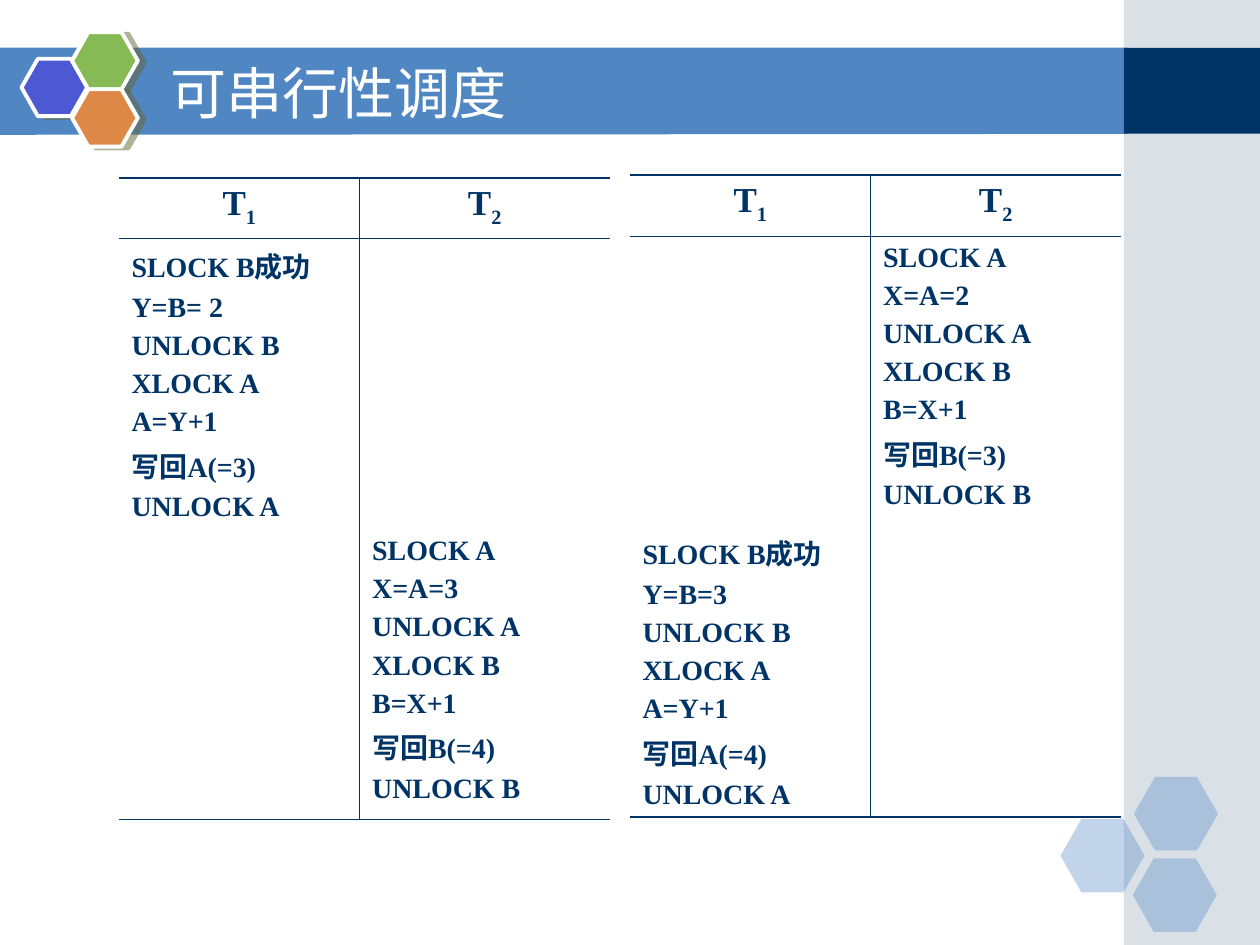
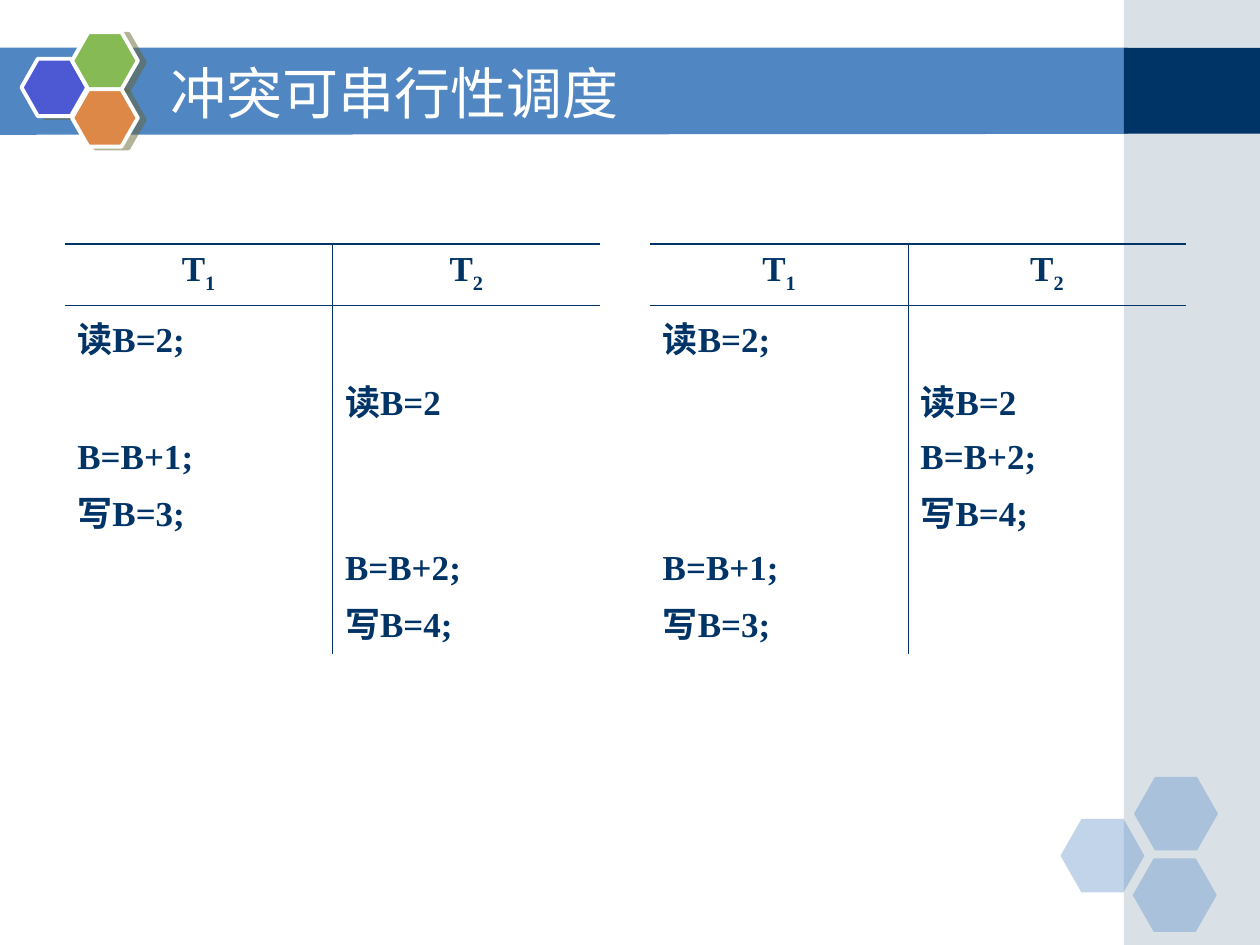
import pptx
import pptx.util
import pptx.dml.color
import pptx.enum.shapes
import pptx.enum.text
import pptx.oxml
import pptx.oxml.ns
import lxml.etree

Pt = pptx.util.Pt
SHAPE = pptx.enum.shapes.MSO_SHAPE
ALIGN = pptx.enum.text.PP_ALIGN
ANCHOR = pptx.enum.text.MSO_ANCHOR
qn = pptx.oxml.ns.qn

COLORS = {
    "band": "5086C2", "navy": "003366", "side": "A0B5C4", "white": "FFFFFF",
    "blue": "4C59D2", "green": "85BA54", "orange": "DE8848", "shadow": "666633",
}
TITLE_FONT, TABLE_FONT = "DejaVu Sans", "Times New Roman"
THICK, THIN = 1.08, 0.45
NO_STYLE = "{2D5ABB26-0587-4C30-8999-92F81FD0307C}"


def update_a(read_b, new_a):
    return ["SLOCK B成功", f"Y=B={read_b}", "UNLOCK B", "XLOCK A", "A=Y+1",
            f"写回A(={new_a})", "UNLOCK A"]


def update_b(read_a, new_b):
    return ["SLOCK A", f"X=A={read_a}", "UNLOCK A", "XLOCK B", "B=X+1",
            f"写回B(={new_b})", "UNLOCK B"]


ADD_ONE = ["B=B+1;", "写B=3;"]
ADD_TWO = ["B=B+2;", "写B=4;"]
FIRST_READS = [(["读B=2;"], []), ([], ["读B=2"])]

# Each schedule lists its steps as (T1, T2) rows below the header.
SLIDES = [
    {"title": "可串行性调度", "size": 16, "gap": 4, "closed": True, "schedules": [
        {"at": (68, 101.6), "columns": (137.5, 143), "heights": (34.8, 165.8, 165.8),
         "steps": [(update_a(" 2", 3), []), ([], update_b(3, 4))]},
        {"at": (360, 100), "columns": (137.5, 143), "heights": (34.8, 165.8, 165.8),
         "steps": [([], update_b(2, 3)), (update_a(3, 4), [])]},
    ]},
    {"title": "冲突可串行性调度", "size": 20, "gap": 5, "closed": False, "schedules": [
        {"at": (37, 139.6), "columns": (153, 153), "heights": (34.8, 31.7, 31.7, 60.5, 60.5),
         "steps": FIRST_READS + [(ADD_ONE, []), ([], ADD_TWO)]},
        {"at": (371.5, 139.6), "columns": (147.3, 159), "heights": (34.8, 34.6, 31.7, 60.5, 60.5),
         "steps": FIRST_READS + [([], ADD_TWO), (ADD_ONE, [])]},
    ]},
]

SIDE_BARS = [(0, 540, "side", 40), (27.4, 49, "navy", 100)]
CORNER_HEXAGONS = [(606, 468), (648, 444), (647.3, 490.5)]
EMBLEM_HEXAGONS = [(12.3, 33.6, "blue"), (41.2, 18.3, "green"), (41.2, 51, "orange")]


def rgb(color):
    return pptx.dml.color.RGBColor.from_string(COLORS[color])


def paint(shape, color, opacity=100):
    shape.shadow.inherit = False
    shape.fill.solid()
    shape.fill.fore_color.rgb = rgb(color)
    if opacity < 100:
        tint = shape.element.spPr.find(qn("a:solidFill"))[0]
        lxml.etree.SubElement(tint, qn("a:alpha"), val=str(opacity * 1000))
    shape.line.fill.background()


def add_preset(slide, kind, box, color, opacity=100):
    shape = slide.shapes.add_shape(kind, *map(Pt, box))
    paint(shape, color, opacity)
    if kind == SHAPE.HEXAGON:
        shape.adjustments[0] = 0.285
    return shape


def cast_shadow(shape):
    effects = shape.element.spPr.find(qn("a:effectLst"))
    shadow = lxml.etree.SubElement(effects, qn("a:outerShdw"), blurRad="0",
                                   dist=str(Pt(4.1)), dir=str(14 * 60000),
                                   algn="ctr", rotWithShape="0")
    tint = lxml.etree.SubElement(shadow, qn("a:srgbClr"), val=COLORS["shadow"])
    lxml.etree.SubElement(tint, qn("a:alpha"), val="50000")


def add_decoration(slide):
    band = slide.shapes.build_freeform(Pt(-0.7), Pt(27.2))
    band.add_line_segments([(Pt(644.4), Pt(27.2)), (Pt(644.4), Pt(76.5)),
                            (Pt(-0.7), Pt(77))], close=True)
    paint(band.convert_to_shape(), "band")
    for top, height, color, opacity in SIDE_BARS:
        add_preset(slide, SHAPE.RECTANGLE, (642.2, top, 77.8, height), color, opacity)
    for left, top in CORNER_HEXAGONS:
        add_preset(slide, SHAPE.HEXAGON, (left, top, 48, 42), "band", 35)
    for left, top, color in EMBLEM_HEXAGONS:
        hexagon = add_preset(slide, SHAPE.HEXAGON, (left, top, 37.6, 32.8), color)
        hexagon.line.color.rgb = rgb("white")
        hexagon.line.width = Pt(2.25)
        cast_shadow(hexagon)


def write(frame, lines, size, font=TABLE_FONT, color="navy", bold=True,
          align=ALIGN.LEFT, gap=0, subscript=""):
    for index, line in enumerate(lines):
        paragraph = frame.paragraphs[0] if index == 0 else frame.add_paragraph()
        paragraph.alignment = align
        paragraph.space_before = Pt(gap if index else 0)
        for text in filter(None, (line, subscript)):
            run = paragraph.add_run()
            run.text = text
            run.font.size, run.font.name, run.font.bold = Pt(size), font, bold
            run.font.color.rgb = rgb(color)
        if subscript:
            run.font._element.set("baseline", "-25000")


def set_borders(cell, widths):
    """Draw the sides named in widths (L, R, T, B) and clear the others."""
    properties = cell._tc.get_or_add_tcPr()
    for position, side in enumerate("LRTB"):
        width = widths.get(side, 0)
        line = lxml.etree.Element(qn(f"a:ln{side}"), w=str(Pt(width)))
        if width:
            fill = lxml.etree.SubElement(line, qn("a:solidFill"))
            lxml.etree.SubElement(fill, qn("a:srgbClr"), val=COLORS["navy"])
        else:
            lxml.etree.SubElement(line, qn("a:noFill"))
        properties.insert(position, line)


def add_schedule(slide, schedule, size, gap, closed):
    columns, heights = schedule["columns"], schedule["heights"]
    frame = slide.shapes.add_table(len(heights), len(columns), *map(Pt, schedule["at"]),
                                   Pt(sum(columns)), Pt(sum(heights)))
    table = frame.table
    table.first_row = table.horz_banding = False
    table._tbl.tblPr.find(qn("a:tableStyleId")).text = NO_STYLE
    for column, width in zip(table.columns, columns):
        column.width = Pt(width)
    for row, height in zip(table.rows, heights):
        row.height = Pt(height)

    last = len(heights) - 1
    for r in range(len(heights)):
        for c in range(len(columns)):
            cell = table.cell(r, c)
            cell.fill.background()
            if r == 0:
                write(cell.text_frame, ["T"], 20, align=ALIGN.CENTER, subscript=str(c + 1))
            else:
                write(cell.text_frame, schedule["steps"][r - 1][c], size, gap=gap)
            borders = {"L" if c else "R": THIN}
            if r == 0:
                borders.update(T=THICK, B=THIN)
            elif r == 1:
                borders["T"] = THIN
            if r == last and closed:
                borders["B"] = THICK
            set_borders(cell, borders)


def add_title(slide, text):
    title = slide.shapes.title
    title.element.getparent().append(title.element)
    title.left, title.top, title.width, title.height = map(Pt, (90, 30.2, 528, 44.6))
    title.text_frame.auto_size = pptx.enum.text.MSO_AUTO_SIZE.NONE
    title.text_frame.vertical_anchor = ANCHOR.MIDDLE
    write(title.text_frame, [text], 32, font=TITLE_FONT, color="white", bold=False)


def main():
    deck = pptx.Presentation()
    deck.slide_width, deck.slide_height = Pt(720), Pt(540)
    for content in SLIDES:
        slide = deck.slides.add_slide(deck.slide_layouts[5])
        add_decoration(slide)
        add_title(slide, content["title"])
        for schedule in content["schedules"]:
            add_schedule(slide, schedule, content["size"], content["gap"], content["closed"])
    deck.save("out.pptx")


if __name__ == "__main__":
    main()
